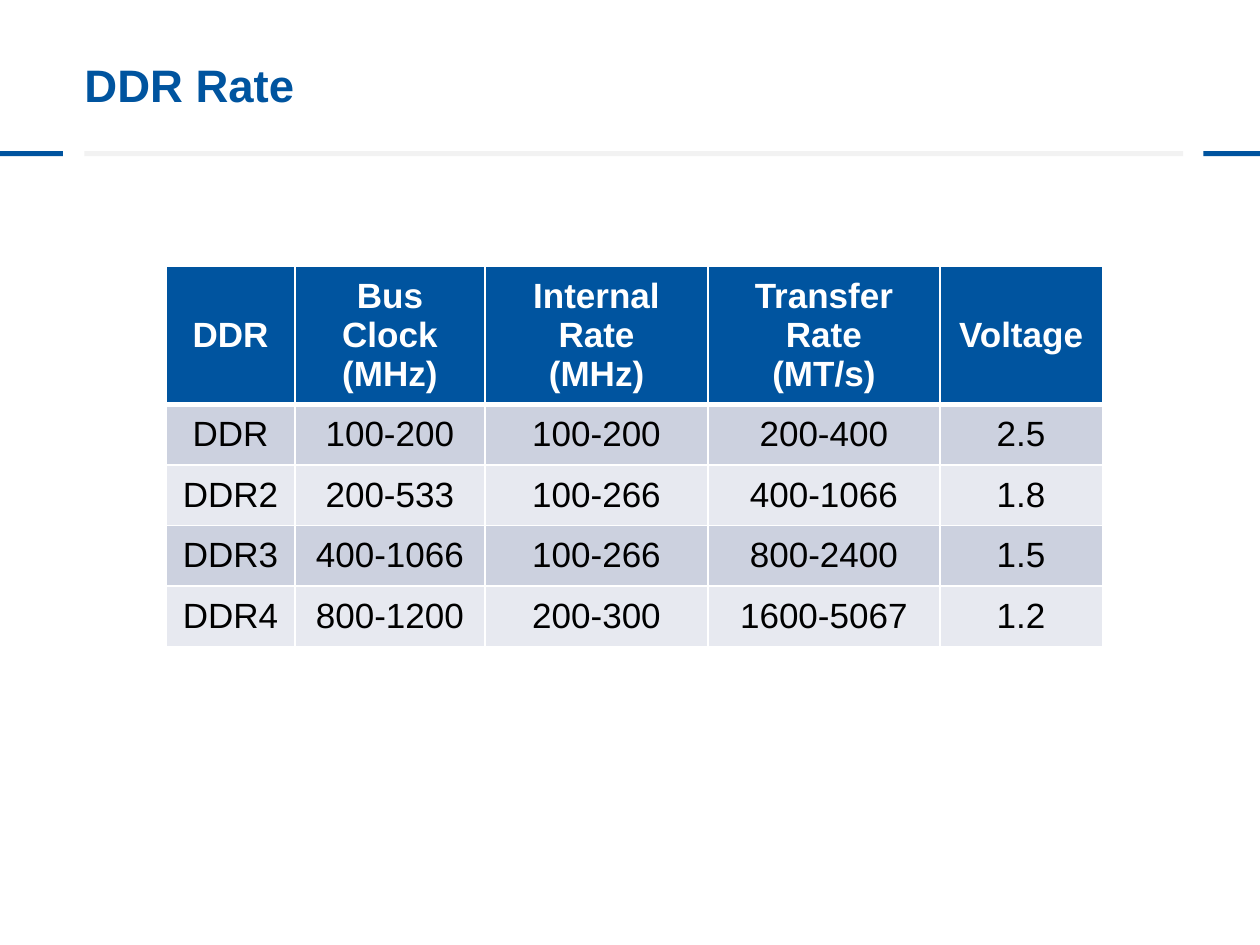
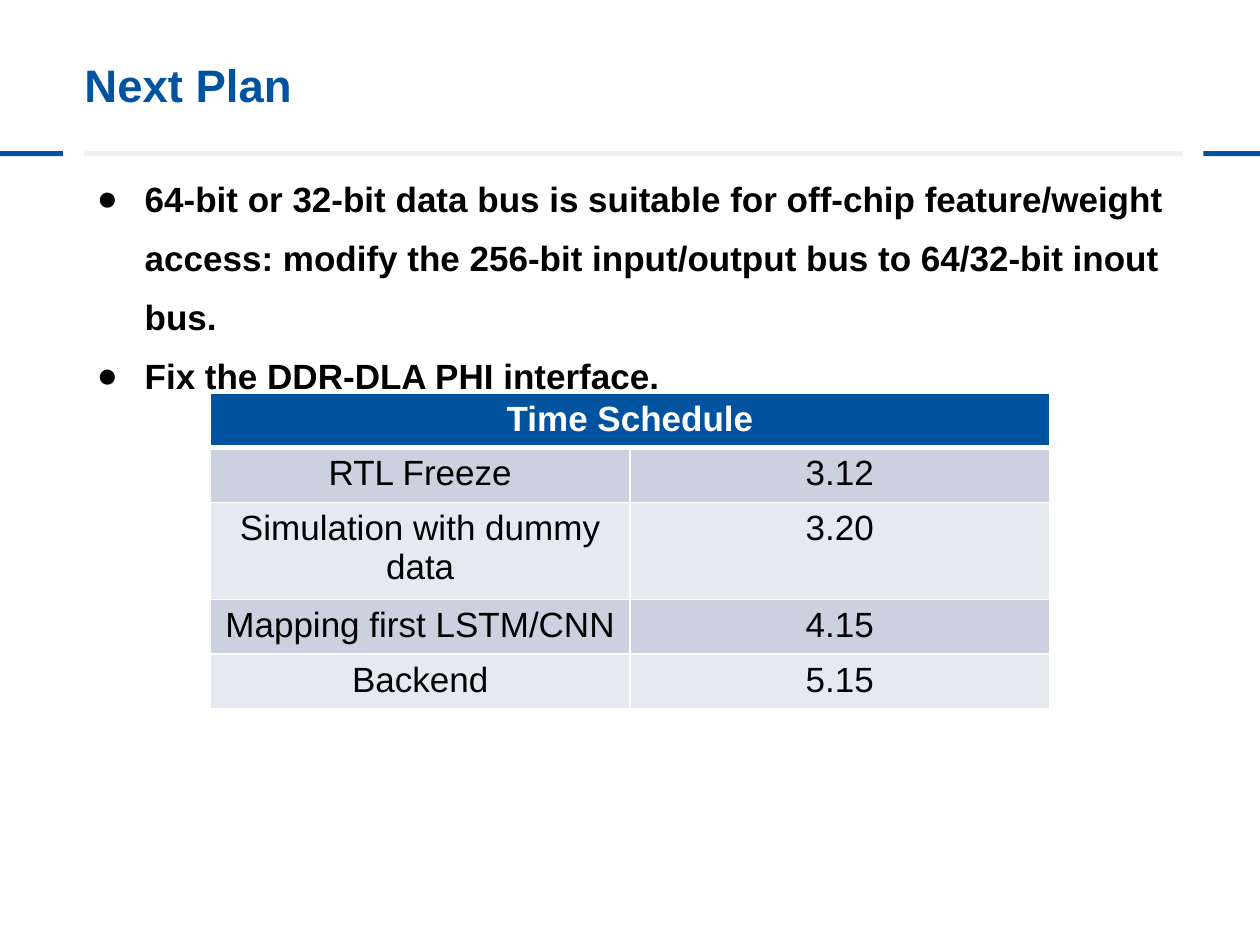
from dataclasses import dataclass

from lxml.etree import SubElement as Sub
from pptx import Presentation
from pptx.dml.color import RGBColor as Rgb
from pptx.enum.shapes import MSO_SHAPE as Kind
from pptx.enum.text import MSO_ANCHOR as Anchor, PP_ALIGN as Align
from pptx.oxml.ns import qn
from pptx.util import Inches, Pt


@dataclass(frozen=True)
class Theme:
    font: str = "Arial"
    blue: str = "00549F"
    grey: str = "F2F2F2"
    white: str = "FFFFFF"
    black: str = "000000"
    bands: tuple = ("CCD1DF", "E7E9F0")
    head: int = 26
    body: int = 20
    thin: int = 1
    thick: int = 3


class Deck:
    """Holds the style and the current slide; lengths are cells of a 100 x 75 grid."""

    def __init__(self, theme):
        self.theme = theme
        self.prs = Presentation()
        self.prs.slide_width, self.prs.slide_height = Inches(10), Inches(7.5)
        self.unit = self.prs.slide_width / 100
        self.slide = None

    def grid(self, *cells):
        return [round(n * self.unit) for n in cells]

    def page(self, title):
        self.slide = self.prs.slides.add_slide(self.prs.slide_layouts[6])
        t = self.theme
        # Rule under the title: blue ends, grey middle
        for left, width, color in ((0, 5, t.blue), (95.5, 4.5, t.blue),
                                   (6.7, 87.2, t.grey)):
            self.bar(left, 12, width, 0.4, color)
        frame = self.box(6.7, 2.1, 87.2, 9.2)
        frame.vertical_anchor = Anchor.MIDDLE
        frame.margin_left = frame.margin_right = 0
        frame.margin_top = frame.margin_bottom = 0
        frame.text = title
        self.style(frame, t.head, t.blue, True)

    def bar(self, left, top, width, height, color):
        bar = self.slide.shapes.add_shape(
            Kind.RECTANGLE, *self.grid(left, top, width, height))
        bar.shadow.inherit = False
        bar.fill.solid()
        bar.fill.fore_color.rgb = Rgb.from_string(color)
        bar.line.fill.background()

    def box(self, *area):
        frame = self.slide.shapes.add_textbox(*self.grid(*area)).text_frame
        frame.word_wrap = True
        return frame

    def style(self, frame, size, color, bold, align=Align.LEFT):
        for para in frame.paragraphs:
            para.alignment = align
            for run in para.runs:
                font = run.font
                font.name, font.size, font.bold = self.theme.font, Pt(size), bold
                font.color.rgb = Rgb.from_string(color)

    def bullets(self, area, lines, space=1.4, indent=3.8):
        frame = self.box(*area)
        frame.text = "\n".join(lines)
        self.style(frame, self.theme.body, self.theme.black, True)
        hang, = self.grid(indent)
        for para in frame.paragraphs:
            para.line_spacing = space
            props = para._p.get_or_add_pPr()
            props.set("marL", str(hang))
            props.set("indent", str(-hang))
            Sub(props, qn("a:buFont"), typeface=self.theme.font)
            Sub(props, qn("a:buChar"), char="●")

    def edges(self, cell, row):
        t = self.theme
        props = cell._tc.get_or_add_tcPr()
        for side in "LRTB":
            heavy = (row, side) in ((0, "B"), (1, "T"))
            width = Pt(t.thick if heavy else t.thin)
            line = Sub(props, qn(f"a:ln{side}"), w=str(width))
            Sub(Sub(line, qn("a:solidFill")), qn("a:srgbClr"), val=t.white)

    def table(self, left, top, cols, rows, data, anchor=Anchor.TOP):
        t = self.theme
        table = self.slide.shapes.add_table(
            len(rows), len(cols),
            *self.grid(left, top, sum(cols), sum(rows))).table
        table.horz_banding = False
        for col, width in zip(table.columns, self.grid(*cols)):
            col.width = width
        for row, height in zip(table.rows, self.grid(*rows)):
            row.height = height
        for r, texts in enumerate(data):
            top_row = r == 0
            for c in range(len(cols)):
                cell = table.cell(r, c)
                self.edges(cell, r)
                cell.fill.solid()
                cell.fill.fore_color.rgb = Rgb.from_string(
                    t.blue if top_row else t.bands[(r - 1) % 2])
                cell.vertical_anchor = anchor
                if c < len(texts):
                    cell.text_frame.text = texts[c]
                self.style(cell.text_frame, t.body,
                           t.white if top_row else t.black, top_row, Align.CENTER)
            # A short row spans the full width
            if len(texts) < len(cols):
                table.cell(r, len(texts) - 1).merge(table.cell(r, len(cols) - 1))


deck = Deck(Theme())

# Memory rates
deck.page("DDR Rate")
deck.table(13.2, 21.1, (10.2, 15.1, 17.7, 18.4, 12.9), (10.2,) + (4.8,) * 4, (
    ("DDR", "Bus Clock\n(MHz)", "Internal Rate\n(MHz)",
     "Transfer Rate\n(MT/s)", "Voltage"),
    ("DDR", "100-200", "100-200", "200-400", "2.5"),
    ("DDR2", "200-533", "100-266", "400-1066", "1.8"),
    ("DDR3", "400-1066", "100-266", "800-2400", "1.5"),
    ("DDR4", "800-1200", "200-300", "1600-5067", "1.2"),
), Anchor.MIDDLE)

# Plan and schedule
deck.page("Next Plan")
deck.bullets((6.7, 12.3, 92.6, 14.6), (
    "64-bit or 32-bit data bus is suitable for off-chip feature/weight access: "
    "modify the 256-bit input/output bus to 64/32-bit inout bus.",
    "Fix the DDR-DLA PHI interface.",
))
deck.table(16.7, 31.2, (33.3, 33.3), (4.3, 4.3, 7.7, 4.3, 4.3), (
    ("Time Schedule",),
    ("RTL Freeze", "3.12"),
    ("Simulation with dummy data", "3.20"),
    ("Mapping first LSTM/CNN", "4.15"),
    ("Backend", "5.15"),
))

deck.prs.save("out.pptx")
